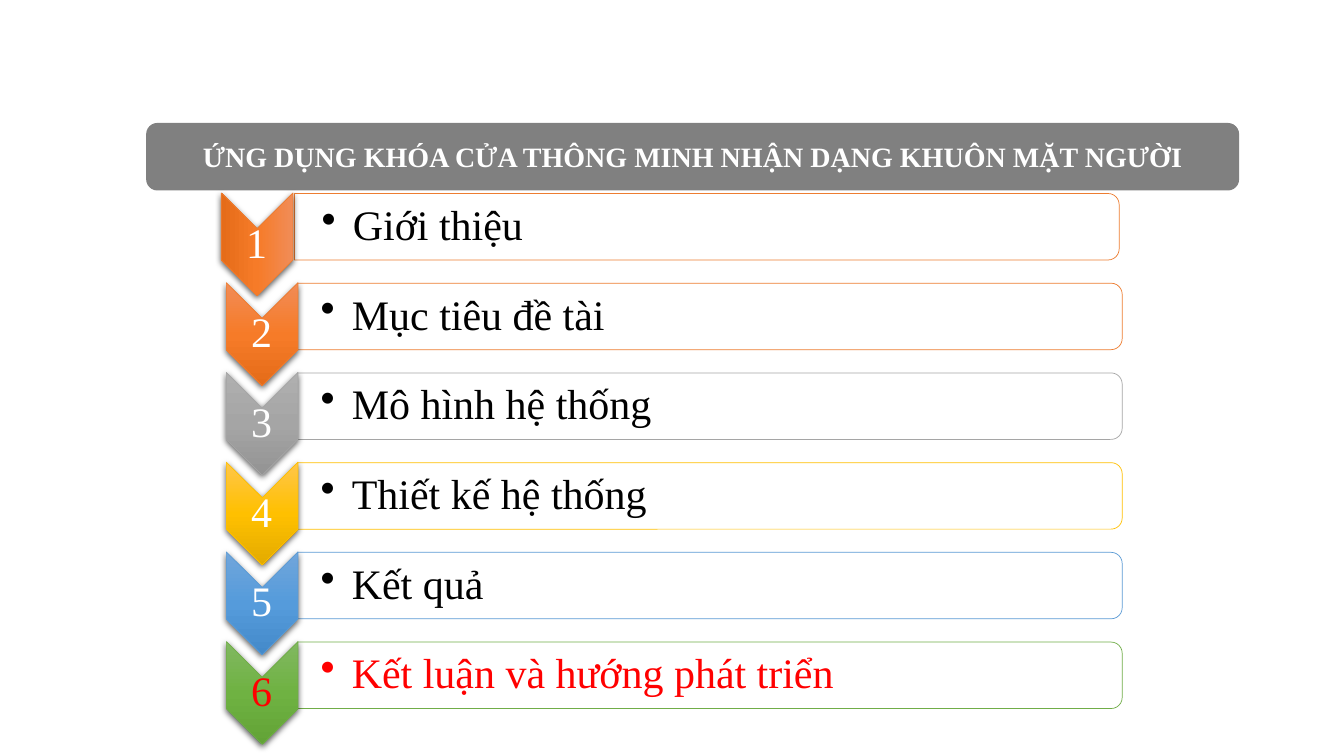
"""Builds the agenda slide: a title banner above six numbered chevron rows."""
import pptx
import pptx.dml.color
import pptx.enum.shapes
import pptx.enum.text
import pptx.oxml
import pptx.oxml.ns
import pptx.util
from pptx.util import Inches

SHAPES = pptx.enum.shapes.MSO_SHAPE
ALIGN = pptx.enum.text.PP_ALIGN
NAMESPACE = pptx.oxml.ns.nsdecls("a")
TITLE = "ỨNG DỤNG KHÓA CỬA THÔNG MINH NHẬN DẠNG KHUÔN MẶT NGƯỜI"
ORANGE = ("ED7D31", ("F18C57", "F67B28", "E56C19"))
GREY = ("A5A5A5", ("AFAFAF", "A5A5A5", "939393"))
YELLOW = ("FFC000", ("FFC64B", "FFC000", "E3AB00"))
BLUE = ("5B9BD5", ("71A6DB", "559BDB", "448ACA"))
GREEN = ("70AD47", ("81B861", "6FB242", "62A336"))
AGENDA = [
    ("Giới thiệu", ORANGE, "000000", "FFFFFF"),
    ("Mục tiêu đề tài", ORANGE, "000000", "FFFFFF"),
    ("Mô hình hệ thống", GREY, "000000", "FFFFFF"),
    ("Thiết kế hệ thống", YELLOW, "000000", "FFFFFF"),
    ("Kết quả", BLUE, "000000", "FFFFFF"),
    ("Kết luận và hướng phát triển", GREEN, "FF0000", "FF0000"),
]
ROW_PITCH = 0.89


def color(value):
    """Return the colour for a hex string."""
    return pptx.dml.color.RGBColor.from_string(value)


def apply(target, values):
    """Set each named attribute on the target."""
    for name, value in values.items():
        setattr(target, name, value)


class AgendaSlide:
    """Holds the text style and the slide being drawn."""

    font = "Times New Roman"
    item_size = 30
    title_size = 20

    def __init__(self, presentation):
        """Add a title-only slide to the presentation."""
        self.slide = presentation.slides.add_slide(presentation.slide_layouts[5])

    def put_text(self, shape, text, size, text_color, bold=False, align=ALIGN.LEFT,
                 spacing=1.0, left_inset=0.02):
        """Put one formatted paragraph into a shape and return it."""
        frame = shape.text_frame
        apply(frame, {
            "word_wrap": True,
            "auto_size": pptx.enum.text.MSO_AUTO_SIZE.NONE,
            "vertical_anchor": pptx.enum.text.MSO_ANCHOR.MIDDLE,
            "margin_left": Inches(left_inset),
            "margin_right": Inches(0.02),
            "margin_top": Inches(0.02),
            "margin_bottom": Inches(0.02),
        })
        paragraph = frame.paragraphs[0]
        apply(paragraph, {"alignment": align, "line_spacing": spacing})
        run = paragraph.add_run()
        run.text = text
        apply(run.font, {"name": self.font, "size": pptx.util.Pt(size), "bold": bold})
        run.font.color.rgb = color(text_color)
        return paragraph

    def shape(self, preset, box, fill, line=None, rotation=0):
        """Add a flat preset shape."""
        shape = self.slide.shapes.add_shape(preset, *map(Inches, box))
        shape.rotation = rotation
        shape.shadow.inherit = False
        shape.fill.solid()
        shape.fill.fore_color.rgb = color(fill)
        if line:
            shape.line.color.rgb = color(line)
            shape.line.width = pptx.util.Pt(0.5)
        else:
            shape.line.fill.background()
        return shape

    def title(self, text, box):
        """Place the title over a rounded banner."""
        banner = self.shape(SHAPES.ROUNDED_RECTANGLE, box, "808080")
        title = self.slide.shapes.title
        apply(title, dict(zip(("left", "top", "width", "height"), map(Inches, box))))
        title.element.addprevious(banner.element)
        self.put_text(title, text, self.title_size, "FFFFFF", bold=True, align=ALIGN.CENTER)

    def chevron(self, box, line, stops, angle):
        """Add a downward chevron with a gradient and a soft shadow."""
        shape = self.shape(SHAPES.CHEVRON, box, line, line, rotation=90)
        stop_xml = "".join(
            f'<a:gs pos="{index * 50000}"><a:srgbClr val="{stop}"/></a:gs>'
            for index, stop in enumerate(stops))
        gradient = pptx.oxml.parse_xml(
            f'<a:gradFill {NAMESPACE} rotWithShape="1"><a:gsLst>{stop_xml}</a:gsLst>'
            f'<a:lin ang="{angle * 60000}" scaled="0"/></a:gradFill>')
        properties = shape.element.spPr
        solid = properties.find(pptx.oxml.ns.qn("a:solidFill"))
        properties.replace(solid, gradient)
        properties.find(pptx.oxml.ns.qn("a:effectLst")).append(pptx.oxml.parse_xml(
            f'<a:outerShdw {NAMESPACE} blurRad="57150" dist="19050" dir="5400000" '
            'algn="ctr" rotWithShape="0"><a:srgbClr val="000000">'
            '<a:alpha val="63000"/></a:srgbClr></a:outerShdw>'))

    def bar(self, box, line):
        """Add a nearly opaque white bar rounded on its right side."""
        shape = self.shape(SHAPES.ROUND_2_SAME_RECTANGLE, box, "FFFFFF", line, rotation=90)
        fill = shape.element.spPr.find(pptx.oxml.ns.qn("a:solidFill"))
        fill[0].append(pptx.oxml.parse_xml(f'<a:alpha {NAMESPACE} val="90000"/>'))

    def number(self, text, box, text_color):
        """Add a centred row number."""
        text_box = self.slide.shapes.add_textbox(*map(Inches, box))
        self.put_text(text_box, text, self.item_size, text_color,
                      align=ALIGN.CENTER, spacing=0.9)

    def item(self, text, box, text_color):
        """Add a bulleted agenda entry."""
        text_box = self.slide.shapes.add_textbox(*map(Inches, box))
        paragraph = self.put_text(text_box, text, self.item_size, text_color,
                                  spacing=0.9, left_inset=0.23)
        properties = paragraph._p.get_or_add_pPr()
        properties.set("marL", str(Inches(0.31)))
        properties.set("indent", str(-Inches(0.31)))
        properties.append(pptx.oxml.parse_xml(f'<a:buChar {NAMESPACE} char="•"/>'))


def main():
    """Build and save the presentation."""
    presentation = pptx.Presentation()
    apply(presentation, {"slide_width": Inches(13.33), "slide_height": Inches(7.5)})
    agenda = AgendaSlide(presentation)
    agenda.title(TITLE, (1.45, 1.22, 10.84, 0.67))
    for index, (text, (line, stops), text_color, number_color) in enumerate(AGENDA):
        offset = index * ROW_PITCH
        first = index == 0
        chevron_left = 2.04 if first else 2.09
        bar_left = 6.68 if first else 6.71
        item_left = 2.96 if first else 2.95
        agenda.bar((bar_left, -1.84 + offset, 0.66, 8.18), line)
        agenda.item(text, (item_left, 1.95 + offset, 8.14, 0.6), text_color)
        agenda.chevron((chevron_left, 2.07 + offset, 1.02, 0.71), line, stops,
                       90 if first else 0)
        agenda.number(str(index + 1), (chevron_left + 0.15, 2.27 + offset, 0.71, 0.31),
                      number_color)
    presentation.save("out.pptx")


if __name__ == "__main__":
    main()
